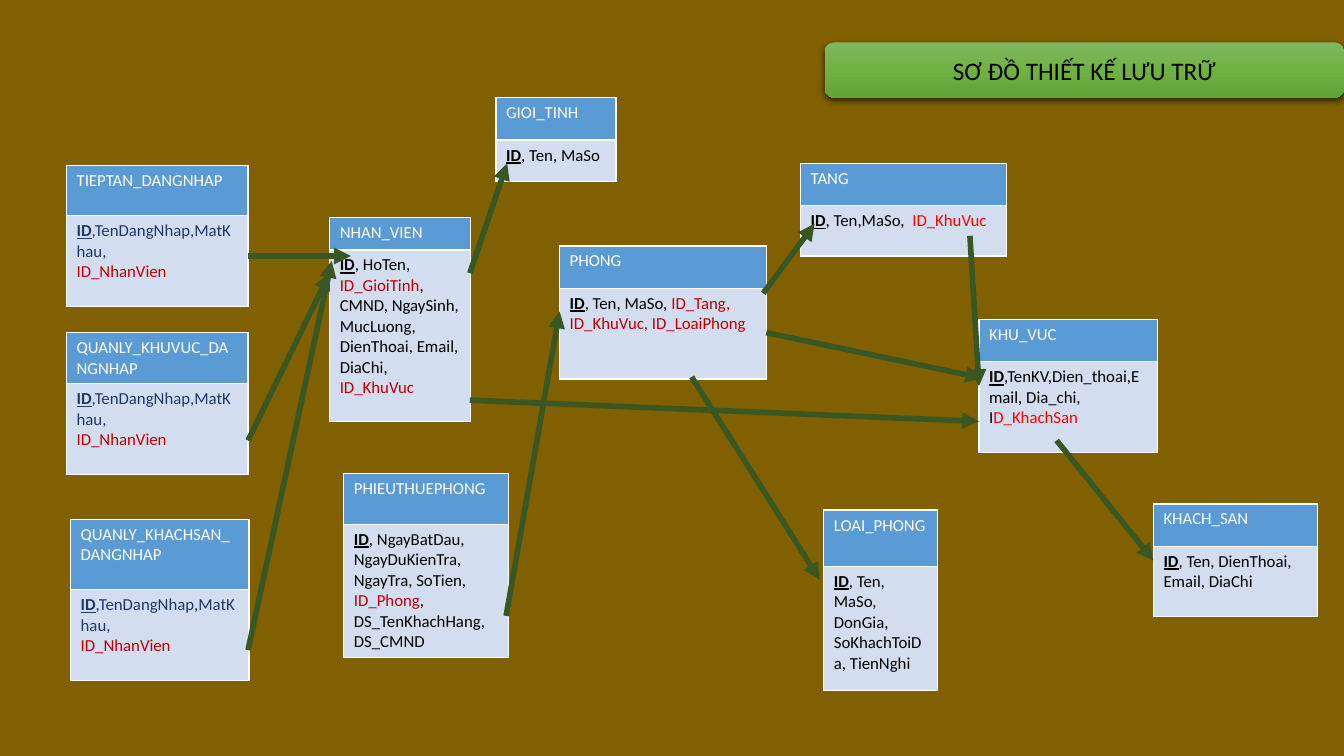
from lxml.etree import SubElement
from pptx import Presentation
from pptx.dml.color import RGBColor
from pptx.enum.shapes import MSO_CONNECTOR, MSO_SHAPE
from pptx.enum.text import MSO_ANCHOR, PP_ALIGN
from pptx.oxml import parse_xml
from pptx.oxml.ns import nsdecls, qn
from pptx.util import Inches, Pt

COLORS = {
    "background": "806000", "header": "5B9BD5", "body": "D2DEEF",
    "white": "FFFFFF", "black": "000000", "navy": "203864",
    "crimson": "C00000", "red": "FF0000", "arrow": "385723",
}
BANNER_STOPS = [(0, "81B861"), (50, "6FB242"), (100, "62A336")]

LOGIN_FIELDS = [
    [("ID", "navy"), (",TenDangNhap,MatKhau,", "navy")],
    [("ID_NhanVien", "crimson")],
]

ENTITIES = [
    ("NHAN_VIEN", 3.27, 2.16, 1.4, (0.32, 1.7), [[
        ("ID", "black"), (", HoTen, ", "black"), ("ID_GioiTinh", "crimson"),
        (", CMND, NgaySinh, MucLuong, DienThoai, Email, DiaChi, ", "black"),
        ("ID_KhuVuc", "crimson")]]),
    ("KHU_VUC", 9.71, 3.17, 1.77, (0.42, 0.9), [
        [("ID", "black"), (",TenKV,Dien_thoai,Email, Dia_chi,", "black")],
        [("I", "black"), ("D_KhachSan", "red")]]),
    ("KHACH_SAN", 11.44, 5, 1.63, (0.42, 0.7), [[
        ("ID", "black"), (", Ten, DienThoai, Email, DiaChi", "black")]]),
    ("LOAI_PHONG", 8.17, 5.06, 1.13, (0.56, 1.23), [[
        ("ID", "black"),
        (", Ten, MaSo, DonGia, SoKhachToiDa, TienNghi", "black")]]),
    ("PHONG", 5.55, 2.44, 2.05, (0.42, 0.9), [[
        ("ID", "black"), (", Ten, MaSo, ", "black"),
        ("ID_Tang, ID_KhuVuc, ID_LoaiPhong", "crimson")]]),
    ("TIEPTAN_DANGNHAP", 0.66, 1.64, 1.8, (0.5, 0.9), LOGIN_FIELDS),
    ("TANG", 7.94, 1.62, 2.04, (0.42, 0.5), [[
        ("ID", "black"), (", Ten,MaSo,  ", "black"), ("ID_KhuVuc", "red")]]),
    ("GIOI_TINH", 4.92, 0.97, 1.19, (0.42, 0.41), [[
        ("ID", "black"), (", Ten, MaSo", "black")]]),
    ("PHIEUTHUEPHONG", 3.41, 4.7, 1.63, (0.5, 1.3), [[
        ("ID", "black"),
        (", NgayBatDau, NgayDuKienTra, NgayTra, SoTien, ", "black"),
        ("ID_Phong", "crimson"), (", DS_TenKhachHang, DS_CMND", "black")]]),
    ("QUANLY_KHUVUC_DANGNHAP", 0.66, 3.3, 1.8, (0.5, 0.9), LOGIN_FIELDS),
    ("QUANLY_KHACHSAN_DANGNHAP", 0.7, 5.15, 1.77, (0.7, 0.9), LOGIN_FIELDS),
]

RELATIONS = [
    (2.46, 2.54, 3.48, 2.54), (2.46, 4.37, 3.27, 2.71),
    (2.46, 6.45, 3.29, 2.59), (4.66, 2.71, 5.03, 1.62),
    (4.66, 3.97, 9.71, 4.18), (7.57, 2.91, 8.08, 2.22),
    (6.86, 3.74, 8.13, 5.75), (7.6, 3.3, 9.74, 3.75),
    (9.62, 2.34, 9.71, 3.83), (10.48, 4.37, 11.44, 5.56),
    (5.02, 6.11, 5.55, 3.09),
]


def rgb(name):
    return RGBColor.from_string(COLORS[name])


class SchemaSlide:
    """Draws the parts of a storage schema on one slide."""

    font_name = "Calibri"

    def __init__(self, slide):
        self.slide = slide
        fill = slide.background.fill
        fill.solid()
        fill.fore_color.rgb = rgb("background")

    def add_runs(self, paragraph, runs, size):
        paragraph.font.name = self.font_name
        paragraph.font.size = Pt(size)
        for text, color in runs:
            run = paragraph.add_run()
            run.text = text
            run.font.color.rgb = rgb(color)
            run.font.bold = run.font.underline = text == "ID"

    def fill_cell(self, cell, color, lines):
        cell.fill.solid()
        cell.fill.fore_color.rgb = rgb(color)
        frame = cell.text_frame
        for index, runs in enumerate(lines):
            paragraph = frame.add_paragraph() if index else frame.paragraphs[0]
            self.add_runs(paragraph, runs, 12)

    def entity(self, title, left, top, width, heights, fields):
        table = self.slide.shapes.add_table(
            2, 1, Inches(left), Inches(top), Inches(width),
            Inches(sum(heights))).table
        table.horz_banding = False
        for row, height in zip(table.rows, heights):
            row.height = Inches(height)
        self.fill_cell(table.cell(0, 0), "header", [[(title, "white")]])
        self.fill_cell(table.cell(1, 0), "body", fields)

    def banner(self, text, left, top, width, height):
        shape = self.slide.shapes.add_shape(
            MSO_SHAPE.ROUNDED_RECTANGLE, Inches(left), Inches(top),
            Inches(width), Inches(height))
        shape.line.fill.background()
        stops = "".join(
            f'<a:gs pos="{position * 1000}"><a:srgbClr val="{color}"/></a:gs>'
            for position, color in BANNER_STOPS)
        shape.shadow.inherit = False
        properties = shape._element.spPr
        properties.find(qn("a:prstGeom")).addnext(parse_xml(
            f'<a:gradFill {nsdecls("a")} rotWithShape="1"><a:gsLst>{stops}'
            '</a:gsLst><a:lin ang="5400000" scaled="0"/></a:gradFill>'))
        properties.find(qn("a:effectLst")).append(parse_xml(
            f'<a:outerShdw {nsdecls("a")} blurRad="{Pt(4.5)}" '
            f'dist="{Pt(1.5)}" dir="5400000" algn="ctr" rotWithShape="0">'
            f'<a:srgbClr val="{COLORS["black"]}"><a:alpha val="63000"/>'
            '</a:srgbClr></a:outerShdw>'))
        frame = shape.text_frame
        frame.word_wrap = True
        frame.vertical_anchor = MSO_ANCHOR.MIDDLE
        paragraph = frame.paragraphs[0]
        paragraph.alignment = PP_ALIGN.CENTER
        self.add_runs(paragraph, [(text, "black")], 18)

    def arrow(self, *ends):
        connector = self.slide.shapes.add_connector(
            MSO_CONNECTOR.STRAIGHT, *map(Inches, ends))
        connector.line.color.rgb = rgb("arrow")
        connector.line.width = Pt(4)
        properties = connector._element.spPr
        SubElement(properties.find(qn("a:ln")), qn("a:tailEnd"),
                   type="triangle")
        SubElement(properties, qn("a:effectLst"))


def main():
    presentation = Presentation()
    presentation.slide_width = Inches(13.33)
    presentation.slide_height = Inches(7.5)
    schema = SchemaSlide(
        presentation.slides.add_slide(presentation.slide_layouts[6]))
    for entity in ENTITIES:
        schema.entity(*entity)
    schema.banner("SƠ ĐỒ THIẾT KẾ LƯU TRỮ", 8.18, 0.42, 5.15, 0.55)
    for relation in RELATIONS:
        schema.arrow(*relation)
    presentation.save("out.pptx")


if __name__ == "__main__":
    main()
